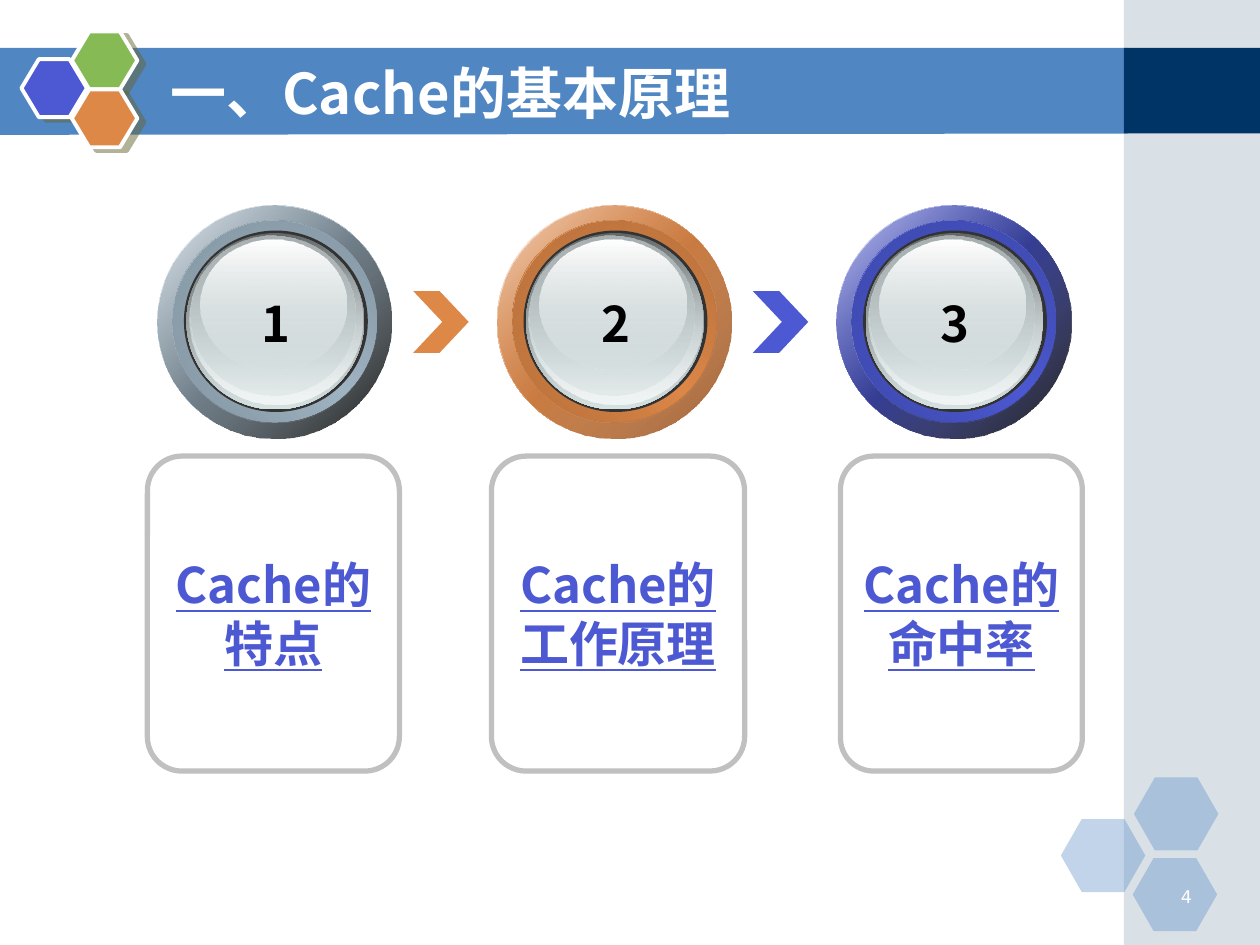
import pptx
import pptx.dml.color
import pptx.enum.shapes
import pptx.enum.text
import pptx.oxml
import pptx.oxml.ns
import pptx.util

KIND = pptx.enum.shapes.MSO_SHAPE
ALIGN = pptx.enum.text.PP_ALIGN
ANCHOR = pptx.enum.text.MSO_ANCHOR
FIT = pptx.enum.text.MSO_AUTO_SIZE
COLUMNS, ROWS = 100, 75
COLORS = {
    "white": "FFFFFF", "black": "000000", "banner": "5086C2", "panel": "A0B5C4",
    "navy": "003366", "indigo": "4C59D2", "green": "85BA54", "orange": "DE8848",
    "frame": "C0C0C0", "rim": "333333", "shadow": "666633", "glass": "D6E1E2",
    "glass_dark": "636869", "glass_light": "F1F5F5", "glass_mid": "AAB2B3",
    "steel_dark": "7B8B96", "steel_mid": "8395A1", "rust": "9F6134",
    "orange_dark": "AA6837", "orange_mid": "B6703B",
    "indigo_dark": "3A44A1", "indigo_mid": "3E49AC",
}
CJK = "Noto Sans CJK SC"
FORMATS = {
    "title": {"name": CJK, "size": pptx.util.Pt(32), "bold": True},
    "topic": {"name": CJK, "size": pptx.util.Pt(28), "bold": True, "underline": True},
    "number": {"name": CJK, "size": pptx.util.Pt(28), "bold": True},
    "page": {"name": "DejaVu Sans", "size": pptx.util.Pt(10)},
}
DOME = [
    ((2.3, 2.2, 14.1, 14), [("glass_dark", 100), ("glass", 100)]),
    ((2.5, 2.2, 13.8, 13.6), [("glass", 0), ("glass_light", 100)]),
    ((2.6, 2.4, 13.1, 12.7), [("glass_mid", 100), ("glass", 48)]),
    ((3.4, 2.7, 11.6, 10.3), [("white", 100), ("glass", 38)]),
]
STAGES = [
    ("Cache的特点", (11.7, 20), "panel", "steel_dark", "steel_mid", ("black", 90)),
    ("Cache的工作原理", (39, 20.1), "orange", "orange_dark", "orange_mid", ("rust", 100)),
    ("Cache的命中率", (66.7, 19.2), "indigo", "indigo_dark", "indigo_mid", ("black", 90)),
]


class Deck:
    """Holds the grid, the text styles and the slide being drawn."""

    def __init__(self):
        self.show = pptx.Presentation()
        self.show.slide_width = pptx.util.Inches(10)
        self.show.slide_height = pptx.util.Inches(7.5)
        self.slide = self.show.slides.add_slide(self.show.slide_layouts[5])

    def x(self, columns):
        return round(self.show.slide_width * columns / COLUMNS)

    def y(self, rows):
        return round(self.show.slide_height * rows / ROWS)

    def box(self, left, top, width, height):
        return self.x(left), self.y(top), self.x(width), self.y(height)

    def xml(self, body):
        space = pptx.oxml.ns.nsdecls("a")
        return pptx.oxml.parse_xml(body.replace(">", f" {space}>", 1))

    def color(self, name, alpha=100):
        return f'<a:srgbClr val="{COLORS[name]}"><a:alpha val="{alpha * 1000}"/></a:srgbClr>'

    def paint(self, shape, fill=None, alpha=100, line=None, width=0):
        shape.shadow.inherit = False
        shape.fill.background()
        if fill:
            shape.fill.solid()
            shape.fill.fore_color.rgb = pptx.dml.color.RGBColor.from_string(COLORS[fill])
            if alpha < 100:
                for tint in shape._element.spPr.xpath("a:solidFill/a:srgbClr"):
                    tint.append(self.xml(f'<a:alpha val="{alpha * 1000}"></a:alpha>'))
        shape.line.fill.background()
        if line:
            shape.line.color.rgb = pptx.dml.color.RGBColor.from_string(COLORS[line])
            shape.line.width = pptx.util.Pt(width)

    def shape(self, kind, place, adjust=None, **look):
        shape = self.slide.shapes.add_shape(kind, *self.box(*place))
        if adjust:
            shape.adjustments[0] = adjust
        self.paint(shape, **look)
        return shape

    def band(self, points, fill):
        corners = [(self.x(column), self.y(row)) for column, row in points]
        builder = self.slide.shapes.build_freeform(*corners[0])
        builder.add_line_segments(corners[1:], close=True)
        self.paint(builder.convert_to_shape(), fill)

    def logo_cell(self, left, top, fill):
        cell = self.shape(KIND.HEXAGON, (left, top, 5.2, 4.6), 0.3,
                          fill=fill, line="white", width=2.25)
        effects = cell._element.spPr.xpath("a:effectLst")[0]
        effects.append(self.xml(
            f'<a:outerShdw blurRad="0" dist="{pptx.util.Pt(4.5)}" dir="{27 * 60000}" '
            f'algn="ctr" rotWithShape="0">{self.color("shadow", 50)}</a:outerShdw>'))

    def disc(self, place, stops, angle):
        disc = self.shape(KIND.OVAL, place)
        step = 100000 // (len(stops) - 1)
        marks = "".join(f'<a:gs pos="{index * step}">{self.color(*stop)}</a:gs>'
                        for index, stop in enumerate(stops))
        props = disc._element.spPr
        props.replace(props.xpath("a:noFill")[0], self.xml(
            f'<a:gradFill rotWithShape="1"><a:gsLst>{marks}</a:gsLst>'
            f'<a:lin ang="{angle * 60000}" scaled="0"/></a:gradFill>'))

    def badge(self, left, top, number, main, dark, middle, shade):
        outer = (left, top, 18.6, 18.5)
        inner = (left + 1.2, top + 1.2, 16.2, 16)
        self.disc(outer, [("white",), (main,), ("white",)], 45)
        self.disc(outer, [(main, 32), shade], 45)
        self.disc(inner, [(dark,), (main,), (dark,)], 315)
        self.disc(inner, [(middle,), (main, 0)], 45)
        self.shape(KIND.OVAL, (left + 2.1, top + 2, 14.6, 14.4), fill="rim")
        for (across, down, width, height), stops in DOME:
            self.disc((left + across, top + down, width, height), stops, 90)
        self.label((left + 7.4, top + 6.5, 4, 5.7), str(number), "number", "black",
                   ALIGN.CENTER, wrap=False)

    def typeset(self, holder, text, style, color, align, anchor, wrap=True):
        frame = holder.text_frame
        frame.text = text
        layout = {"word_wrap": wrap, "auto_size": FIT.NONE, "vertical_anchor": anchor}
        for key, value in layout.items():
            setattr(frame, key, value)
        line = frame.paragraphs[0]
        line.alignment = align
        font = line.runs[0].font
        for key, value in FORMATS[style].items():
            setattr(font, key, value)
        font.color.rgb = pptx.dml.color.RGBColor.from_string(COLORS[color])
        face = FORMATS[style]["name"]
        line.runs[0]._r.get_or_add_rPr().append(
            self.xml(f'<a:ea typeface="{face}"></a:ea>'))

    def label(self, place, text, style, color, align, wrap=True):
        holder = self.slide.shapes.add_textbox(*self.box(*place))
        self.typeset(holder, text, style, color, align, ANCHOR.TOP, wrap)

    def card(self, left, width, topic):
        card = self.shape(KIND.ROUNDED_RECTANGLE, (left, 36.2, width, 25), 0.137,
                          line="frame", width=3)
        self.typeset(card, topic, "topic", "indigo", ALIGN.CENTER, ANCHOR.MIDDLE)

    def title(self, place, text):
        title = self.slide.shapes.title
        title.left, title.top, title.width, title.height = self.box(*place)
        self.typeset(title, text, "title", "white", ALIGN.LEFT, ANCHOR.MIDDLE)
        self.slide.shapes._spTree.append(title._element)


def main():
    deck = Deck()
    deck.band([(-0.1, 3.8), (89.5, 3.8), (89.5, 10.6), (-0.1, 10.7)], "banner")
    deck.shape(KIND.RECTANGLE, (89.2, 0, 10.8, 75), fill="panel", alpha=40)
    deck.shape(KIND.RECTANGLE, (89.2, 3.8, 10.8, 6.8), fill="navy")
    for left, top in [(84.2, 65), (90, 61.7), (89.9, 68.1)]:
        deck.shape(KIND.HEXAGON, (left, top, 6.7, 5.8), 0.286, fill="banner", alpha=35)
    for left, top, fill in [(1.7, 4.7, "indigo"), (5.7, 2.5, "green"), (5.7, 7.1, "orange")]:
        deck.logo_cell(left, top, fill)
    deck.label((90.6, 69.8, 5, 2.5), "4", "page", "white", ALIGN.RIGHT)
    deck.title((12.5, 4.2, 73.3, 6.2), "一、Cache的基本原理")
    for index, (topic, (left, width), *tones) in enumerate(STAGES):
        shift = 26.95 * index
        deck.card(left, width, topic)
        deck.badge(12.5 + shift, 16.3, index + 1, *tones)
        if index:
            deck.shape(KIND.CHEVRON, (5.85 + shift, 23.1, 4.4, 4.9), 0.525, fill=tones[0])
    deck.show.save("out.pptx")


if __name__ == "__main__":
    main()
